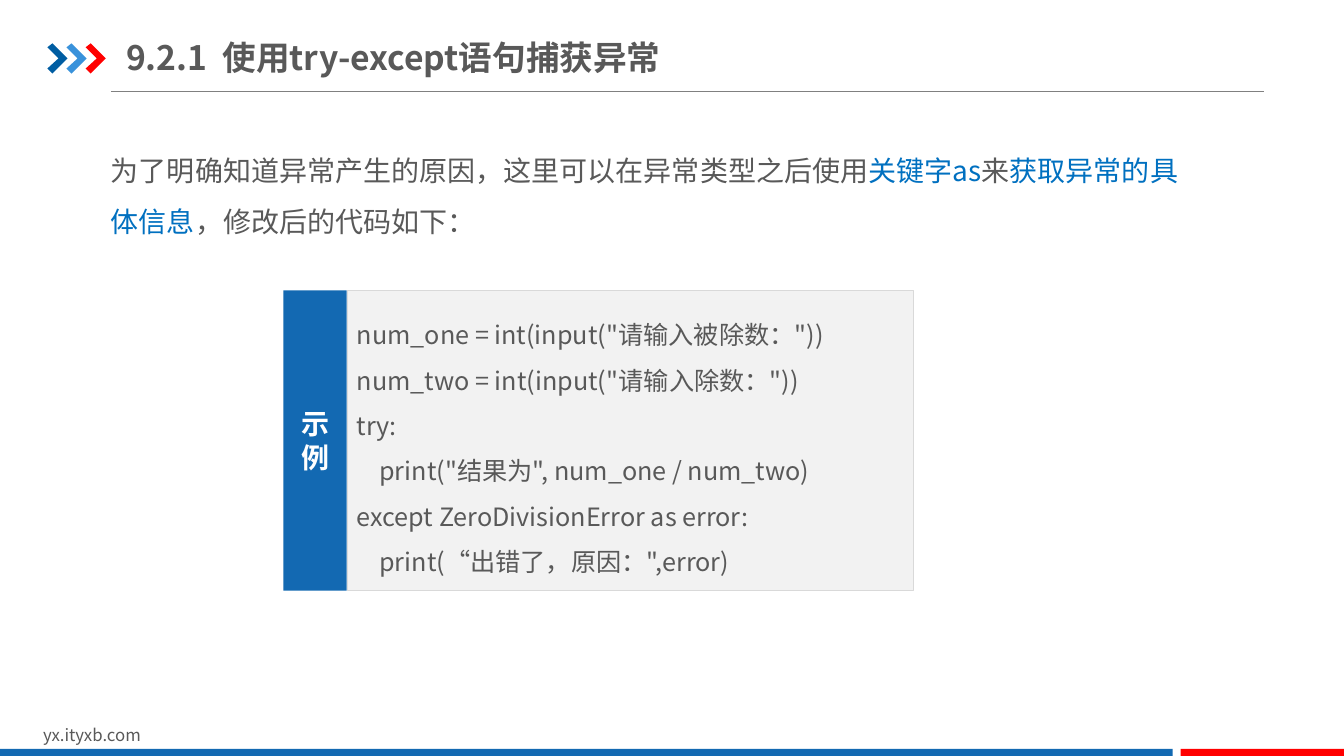
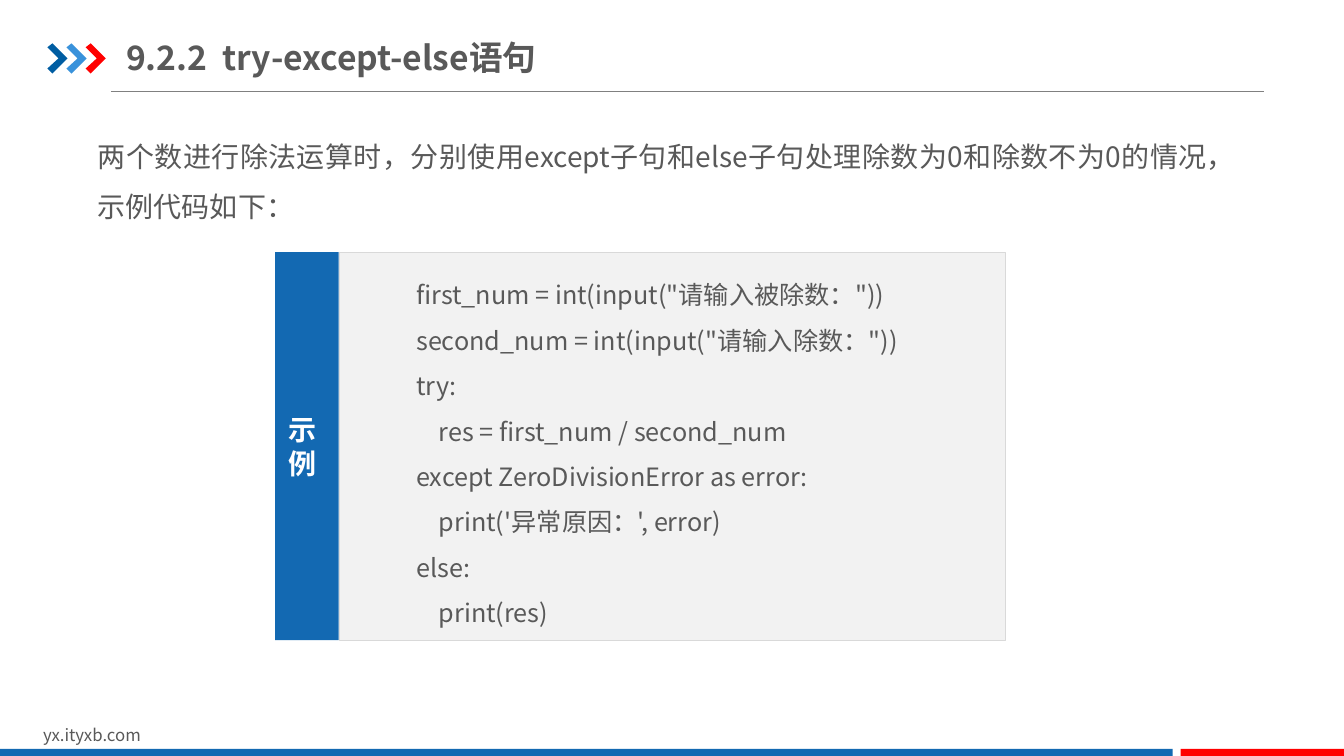
from lxml import etree
from pptx import Presentation
from pptx.dml.color import RGBColor
from pptx.enum.shapes import MSO_CONNECTOR, MSO_SHAPE
from pptx.enum.text import MSO_ANCHOR, MSO_AUTO_SIZE, PP_ALIGN
from pptx.oxml.ns import qn
from pptx.util import Inches, Pt

RECTANGLE, STRAIGHT = MSO_SHAPE.RECTANGLE, MSO_CONNECTOR.STRAIGHT
TOP, MIDDLE = MSO_ANCHOR.TOP, MSO_ANCHOR.MIDDLE
LEFT, CENTER, JUSTIFY = PP_ALIGN.LEFT, PP_ALIGN.CENTER, PP_ALIGN.JUSTIFY
NO_AUTOFIT = MSO_AUTO_SIZE.NONE

FONT = "Noto Sans CJK SC"
GRAY, BLUE, RED, WHITE = "595959", "1369B2", "FF0000", "FFFFFF"
HIGHLIGHT, PANEL, PANEL_EDGE, RULE = "0070C0", "F2F2F2", "D9D9D9", "808080"

# Content
SITE = "yx.ityxb.com"
LABEL = ["示", "例"]
PAGES = [
    {
        "title": "9.2.1  使用try-except语句捕获异常",
        "lead": [
            ("为了明确知道异常产生的原因，这里可以在异常类型之后使用", GRAY),
            ("关键字as", HIGHLIGHT),
            ("来", GRAY),
            ("获取异常的具体信息", HIGHLIGHT),
            ("，修改后的代码如下：", GRAY),
        ],
        "lead_at": (1, 1.31, 10.87, 1.1),
        "lead_inset": 0.1,
        "lead_align": LEFT,
        "code": [
            'num_one = int(input("请输入被除数："))',
            'num_two = int(input("请输入除数："))',
            "try:",
            '    print("结果为", num_one / num_two)',
            "except ZeroDivisionError as error:",
            '    print(“出错了，原因：",error)',
        ],
        "code_at": (3.44, 2.88, 5.62, 2.98),
        "code_indent": 0,
        "label_inset": 0,
    },
    {
        "title": "9.2.2  try-except-else语句",
        "lead": [
            ("两个数进行除法运算时，分别使用except子句和else子句处理"
             "除数为0和除数不为0的情况，示例代码如下：", GRAY),
        ],
        "lead_at": (0.84, 1.15, 11.26, 1.02),
        "lead_inset": 0.13,
        "lead_align": JUSTIFY,
        "code": [
            'first_num = int(input("请输入被除数："))',
            'second_num = int(input("请输入除数："))',
            "try:",
            "    res = first_num / second_num",
            "except ZeroDivisionError as error:",
            "    print('异常原因：', error)",
            "else:",
            "    print(res)",
        ],
        "code_at": (3.36, 2.5, 6.61, 3.85),
        "code_indent": 0.67,
        "label_inset": 0.09,
    },
]

# Shared frame
TITLE_AT = (1.25, 0.29, 5.81, 0.55)
SITE_AT = (0.33, 7.14, 3.18, 0.3)
BANDS = [((0, 7.43, 11.63, 0.09), BLUE), ((11.71, 7.43, 1.63, 0.09), RED)]
CHEVRON = [(0, 0.04), (0.05, 0), (0.2, 0.15), (0.05, 0.3), (0, 0.25), (0.11, 0.15)]
CHEVRON_LEFT, CHEVRON_TOP, CHEVRON_STEP = 0.47, 0.43, 0.19
CHEVRON_COLORS = ["005DA2", "3992DB", RED]
TAB_WIDTH = 0.63


def rgb(value):
    return RGBColor.from_string(value)


def inches(values):
    return [Inches(value) for value in values]


def paint(shape, fill, edge=None):
    shape.shadow.inherit = False
    shape.fill.solid()
    shape.fill.fore_color.rgb = rgb(fill)
    if edge:
        shape.line.color.rgb = rgb(edge)
        shape.line.width = Pt(0.25)
    else:
        shape.line.fill.background()
    return shape


def add_box(page, at, fill, edge=None):
    return paint(page.shapes.add_shape(RECTANGLE, *inches(at)), fill, edge)


def write(shape, lines, size, bold=False, align=LEFT, spacing=1.0, indent=0,
          anchor=TOP, insets=(0.1, 0.05, 0.1, 0.05)):
    """Each line is a list of (text, colour) spans."""
    frame = shape.text_frame
    left, top, right, bottom = inches(insets)
    settings = {"word_wrap": True, "auto_size": NO_AUTOFIT, "vertical_anchor": anchor,
                "margin_left": left, "margin_top": top,
                "margin_right": right, "margin_bottom": bottom}
    for name, value in settings.items():
        setattr(frame, name, value)
    for number, spans in enumerate(lines):
        para = frame.add_paragraph() if number else frame.paragraphs[0]
        properties = para._p.get_or_add_pPr()
        properties.set("marL", str(Inches(indent)))
        properties.set("indent", "0")
        etree.SubElement(properties, qn("a:buNone"))
        layout = {"alignment": align, "line_spacing": spacing, "space_before": Pt(0)}
        for name, value in layout.items():
            setattr(para, name, value)
        for text, color in spans:
            span = para.add_run()
            span.text = text
            for name, value in {"name": FONT, "size": Pt(size), "bold": bold}.items():
                setattr(span.font, name, value)
            span.font.color.rgb = rgb(color)
            east_asian = etree.SubElement(span._r.get_or_add_rPr(), qn("a:ea"))
            east_asian.set("typeface", FONT)


def place(shape, at):
    for name, value in zip(("left", "top", "width", "height"), inches(at)):
        setattr(shape, name, value)


def add_chevron(page, left, color):
    points = [inches((left + x, CHEVRON_TOP + y)) for x, y in CHEVRON]
    builder = page.shapes.build_freeform(*points[0])
    builder.add_line_segments(points[1:], close=True)
    return paint(builder.convert_to_shape(), color)


def build_frame(page):
    """Draw the shared parts, then move them to the layout."""
    rule = page.shapes.add_connector(STRAIGHT, *inches((1.1, 0.91, 12.54, 0.91)))
    rule.line.color.rgb = rgb(RULE)
    rule.line.width = Pt(0.75)
    etree.SubElement(rule.element.spPr, qn("a:effectLst"))
    parts = [rule]
    for number, color in enumerate(CHEVRON_COLORS):
        parts.append(add_chevron(page, CHEVRON_LEFT + number * CHEVRON_STEP, color))
    site = page.shapes.add_textbox(*inches(SITE_AT))
    write(site, [[(SITE, GRAY)]], 12)
    parts.append(site)
    parts += [add_box(page, at, color) for at, color in BANDS]
    for part in parts:
        page.slide_layout.shapes.element.append(part.element)


def fill_page(page, content):
    # Title and lead paragraph
    title, lead = page.shapes.title, page.placeholders[1]
    place(title, TITLE_AT)
    write(title, [[(content["title"], GRAY)]], 24, bold=True, anchor=MIDDLE,
          insets=(0, 0.07, 0, 0.07))
    place(lead, content["lead_at"])
    side = content["lead_inset"]
    write(lead, [content["lead"]], 20, align=content["lead_align"], spacing=1.5,
          insets=(side, side / 2, side, side / 2))

    # Code panel with its label tab
    left, top, _, height = content["code_at"]
    panel = add_box(page, content["code_at"], PANEL, PANEL_EDGE)
    write(panel, [[(line, GRAY)] for line in content["code"]], 18, spacing=1.5,
          indent=content["code_indent"], anchor=MIDDLE)
    tab = add_box(page, (left - TAB_WIDTH, top, TAB_WIDTH, height), BLUE)
    write(tab, [[(character, WHITE)] for character in LABEL], 20, bold=True,
          align=CENTER, anchor=MIDDLE, insets=(0, 0, content["label_inset"], 0))


def main():
    deck = Presentation()
    deck.slide_width, deck.slide_height = inches((13.33, 7.5))
    layout = deck.slide_layouts[1]
    for number, content in enumerate(PAGES):
        page = deck.slides.add_slide(layout)
        if number == 0:
            build_frame(page)
        fill_page(page, content)
    deck.save("out.pptx")


if __name__ == "__main__":
    main()
